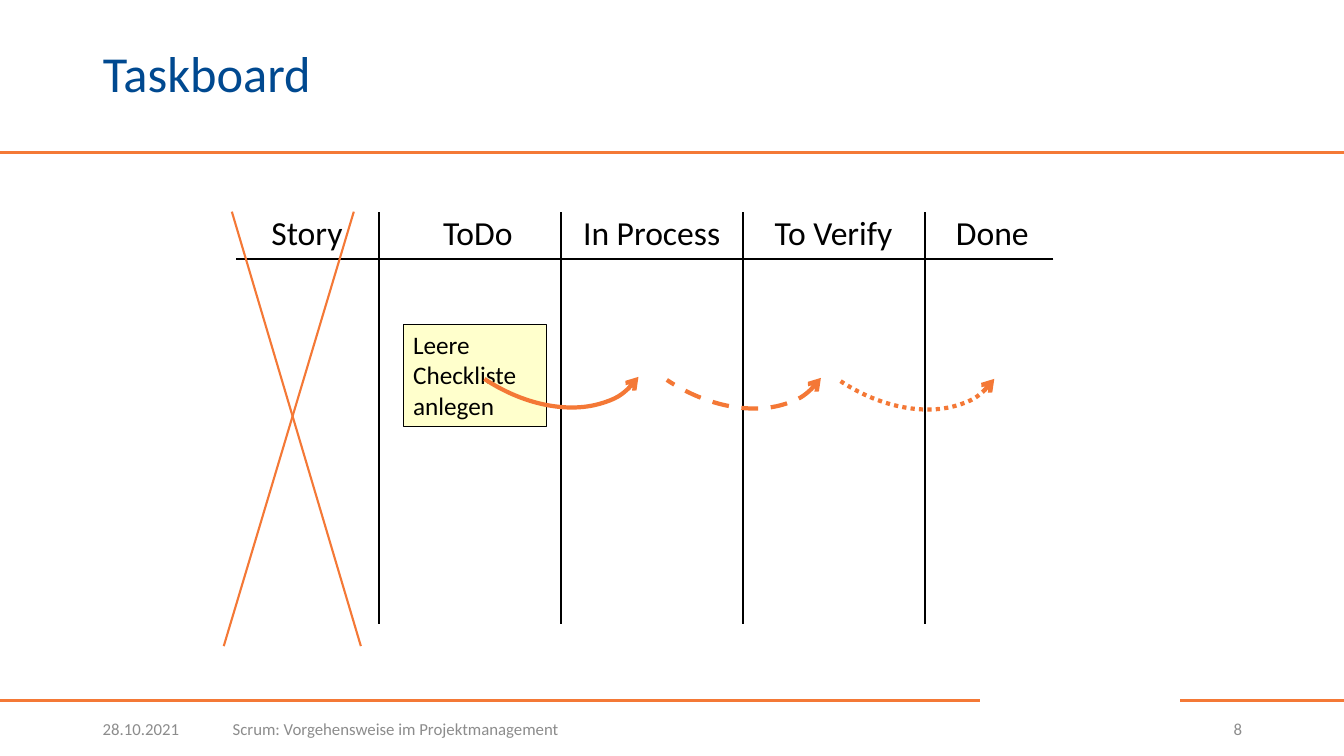
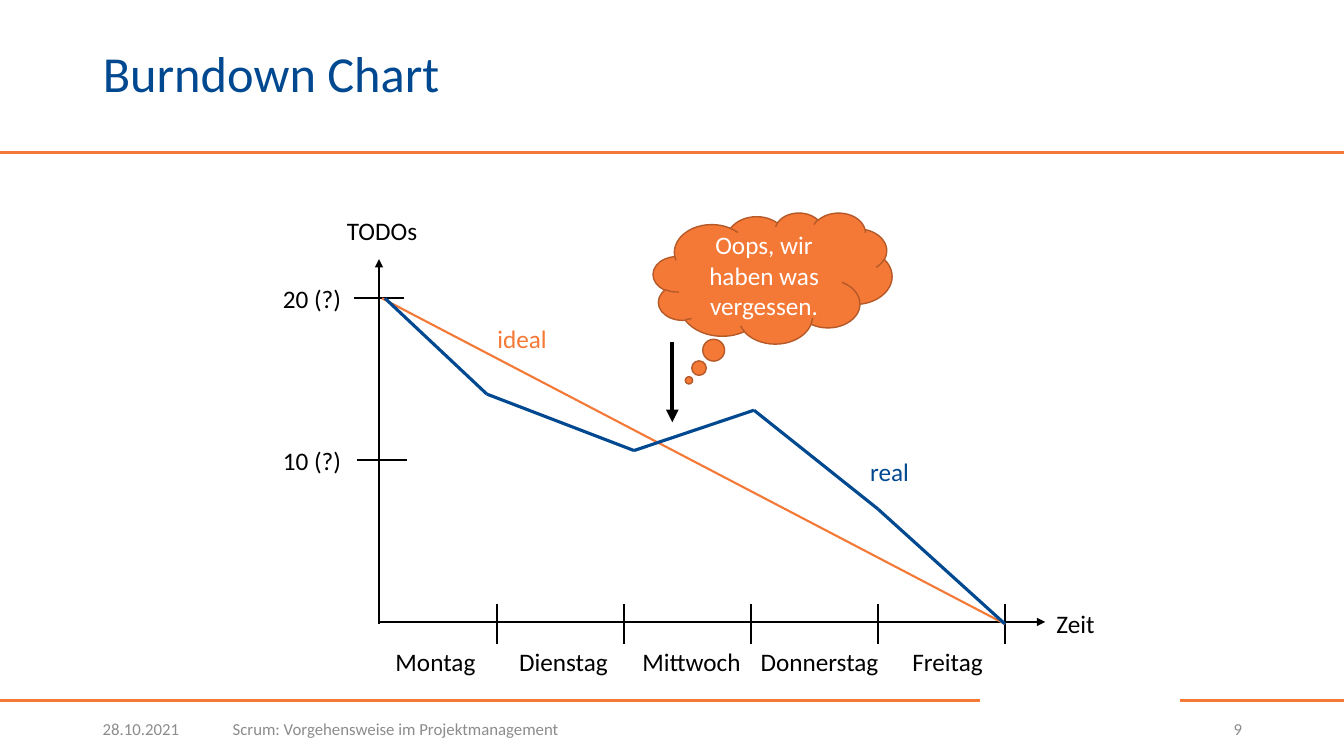
from dataclasses import dataclass

from lxml.etree import SubElement
from pptx import Presentation
from pptx.dml.color import RGBColor
from pptx.enum.dml import MSO_LINE as Dash
from pptx.enum.shapes import MSO_CONNECTOR as Connector, MSO_SHAPE as Shape
from pptx.enum.text import MSO_ANCHOR as Anchor, MSO_AUTO_SIZE as AutoSize, PP_ALIGN as Align
from pptx.oxml.ns import qn
from pptx.util import Inches, Pt

CELL = 0.1  # one grid cell in inches
COLUMNS, ROWS = 133.33, 75
FONT = "Calibri"
COLOURS = {
    "title": "004990",
    "band": "F47936",
    "accent": "F47836",
    "accent_edge": "B55928",
    "ink": "000000",
    "footer": "8C8C8C",
    "note": "FFFFCC",
    "paper": "FFFFFF",
}


@dataclass
class Box:
    """A region of the slide, measured in grid cells."""
    left: float
    top: float
    width: float
    height: float

    def inner(self, left, top, width, height):
        """Return a box offset from the corner of this one."""
        return Box(self.left + left, self.top + top, width, height)

    def lengths(self):
        """Return the position and size as slide lengths."""
        return [cells(n) for n in (self.left, self.top, self.width, self.height)]


PAGE = Box(0, 0, COLUMNS, ROWS)
TITLE = Box(9.2, 1.7, 115, 11.8)
FOOTER = Box(9.2, 70.3, 115, 4)
BOARD = Box(23.4, 21, 81.1, 40.9)
PLOT = Box(37.6, 25.7, 66.1, 36)


def cells(count):
    """Convert grid cells to a slide length."""
    return Inches(count * CELL)


def colour(name):
    """Look up a named colour."""
    return RGBColor.from_string(COLOURS[name])


def fill_text(frame, text, size=18, ink="ink", align=Align.LEFT,
              anchor=Anchor.TOP, wrap=True, spacing=None):
    """Put one formatted paragraph into a text frame."""
    frame.auto_size = AutoSize.NONE
    frame.word_wrap = wrap
    frame.vertical_anchor = anchor
    para = frame.paragraphs[0]
    para.alignment = align
    para.line_spacing = spacing
    span = para.add_run()
    span.text = text
    span.font.name = FONT
    span.font.size = Pt(size)
    span.font.color.rgb = colour(ink)


def write(page, box, text, **style):
    """Add a text box."""
    fill_text(page.shapes.add_textbox(*box.lengths()).text_frame, text, **style)


def label(page, box, text, centre, top, width, height=4, **style):
    """Add a one-line label centred on a column of the given box."""
    place = box.inner(centre - width / 2, top, width, height)
    write(page, place, text, align=Align.CENTER, wrap=False, **style)


def outline(item, ink, weight, dash=None):
    """Format the line of a shape or connector."""
    item.line.color.rgb = colour(ink)
    item.line.width = Pt(weight)
    if dash:
        item.line.dash_style = dash


def add_arrowhead(item, end, kind):
    """Put an arrowhead on the headEnd or tailEnd of a line."""
    SubElement(item.element.spPr.find(qn("a:ln")), qn(f"a:{end}"), type=kind)


def draw_line(page, box, start, end, ink="ink", weight=1.5, arrow=False):
    """Draw a straight line between two points given relative to the box."""
    points = [cells(n) for x, y in (start, end) for n in (box.left + x, box.top + y)]
    line = page.shapes.add_connector(Connector.STRAIGHT, *points)
    outline(line, ink, weight)
    if arrow:
        add_arrowhead(line, "tailEnd", "triangle")
    SubElement(line.element.spPr, qn("a:effectLst"))


def draw_shape(page, box, kind, fill, edge, weight, dash=None):
    """Add a preset shape; fill may be None."""
    shape = page.shapes.add_shape(kind, *box.lengths())
    shape.shadow.inherit = False
    if fill:
        shape.fill.solid()
        shape.fill.fore_color.rgb = colour(fill)
    else:
        shape.fill.background()
    outline(shape, edge, weight, dash)
    return shape


def add_footer(page, box, number):
    """Write date, subject and page number."""
    style = dict(size=12, ink="footer", anchor=Anchor.MIDDLE)
    write(page, box.inner(0, 0, 11.7, box.height), "28.10.2021", **style)
    write(page, box.inner(12.9, 0, 92.6, box.height),
          "Scrum: Vorgehensweise im Projektmanagement", **style)
    write(page, box.inner(box.width - 7.9, 0, 7.9, box.height), str(number),
          align=Align.RIGHT, **style)


def start_page(deck, title, number):
    """Add a slide with the shared title, bands and footer."""
    page = deck.slides.add_slide(deck.slide_layouts[5])
    for left, right, row in ((0, COLUMNS, 15.1), (0, 97.2, 69.5), (117.1, COLUMNS, 69.5)):
        draw_line(page, PAGE, (left, row), (right, row), "band", 2)
    heading = page.shapes.title
    heading.left, heading.top, heading.width, heading.height = TITLE.lengths()
    fill_text(heading.text_frame, title, size=36, ink="title",
              anchor=Anchor.MIDDLE, spacing=0.9)
    add_footer(page, FOOTER, number)
    return page


def add_taskboard(page, box):
    """Draw the board with its columns, task note and moves."""
    for column in range(4):
        x = 14.2 + 18.05 * column
        draw_line(page, box, (x, box.height), (x, 0))
    draw_line(page, box, (box.width, 4.7), (0, 4.7))
    headers = (("Story", 7.05, 9.1), ("ToDo", 24, 9), ("In Process", 41.25, 15.7),
               ("To Verify", 59.3, 13.8), ("Done", 75.05, 9.3))
    for text, centre, width in headers:
        label(page, box, text, centre, -0.5, width, 5, size=24)

    note = draw_shape(page, box.inner(16.6, 11.2, 14.2, 10.1),
                      Shape.RECTANGLE, "note", "ink", 0.75)
    fill_text(note.text_frame, "Leere Checkliste anlegen")

    moves = ((20.8, -3.2, None), (38.9, -3.1, Dash.DASH), (56.1, -3, Dash.ROUND_DOT))
    for left, top, dash in moves:
        move = draw_shape(page, box.inner(left, top, 17.3, 25.2),
                          Shape.ARC, None, "accent", 3, dash)
        move.rotation = 123.7
        add_arrowhead(move, "headEnd", "arrow")

    for bottom, top in ((-1.2, 11.7), (12.4, -0.4)):
        draw_line(page, box, (bottom, 43.1), (top, 0), "accent")


def add_axes(page, box):
    """Draw both axes with ticks and labels."""
    draw_line(page, box, (0, box.height + 0.2), (0, 0), arrow=True)
    draw_line(page, box, (0, box.height), (box.width, box.height), arrow=True)
    label(page, box, "TODOs", 0.3, -4.8, 9)
    label(page, box, "Zeit", 69.1, 34.2, 5.8)
    days = ("Montag", 10), ("Dienstag", 10.9), ("Mittwoch", 11.9), ("Donnerstag", 13.8), ("Freitag", 9.1)
    for index, (day, width) in enumerate(days):
        x = 11.7 + 12.6 * index
        draw_line(page, box, (x, 34.2), (x, 38.2))
        label(page, box, day, 5.6 + 12.7 * index, 37.9, width)
    for text, left, row, top in (("20 (?)", -2.5, 3.9, 1.9), ("10 (?)", -2.2, 19.9, 18)):
        draw_line(page, box, (left, row), (left + 5, row))
        label(page, box, text, -6.65, top, 7.9)


def add_burndown(page, box):
    """Draw the axes, the ideal and real course, and the remark."""
    add_axes(page, box)
    draw_line(page, box, (0.3, 3.9), (62.1, 36.2), "accent")
    label(page, box, "ideal", 14.2, 5.9, 7, ink="accent")
    course = ((0.6, 3.9), (10.7, 13.4), (25.3, 19), (37.2, 15), (49.5, 24.8), (62.1, 36.2))
    for start, end in zip(course, course[1:]):
        draw_line(page, box, start, end, "title", 2.25)
    label(page, box, "real", 50.65, 19.1, 5.9, ink="title")

    draw_line(page, box, (29.1, 8.2), (29.1, 16.2), weight=3, arrow=True)
    cloud = draw_shape(page, box.inner(27.2, -4.6, 23.7, 13),
                       Shape.CLOUD_CALLOUT, "accent", "accent_edge", 1)
    cloud.adjustments[0], cloud.adjustments[1] = -0.35, 0.78
    fill_text(cloud.text_frame, "Oops, wir haben was vergessen.", ink="paper",
              align=Align.CENTER, anchor=Anchor.MIDDLE)


def build():
    """Build and save the deck."""
    deck = Presentation()
    deck.slide_width, deck.slide_height = cells(COLUMNS), cells(ROWS)
    add_taskboard(start_page(deck, "Taskboard", 8), BOARD)
    add_burndown(start_page(deck, "Burndown Chart", 9), PLOT)
    deck.save("out.pptx")


build()
